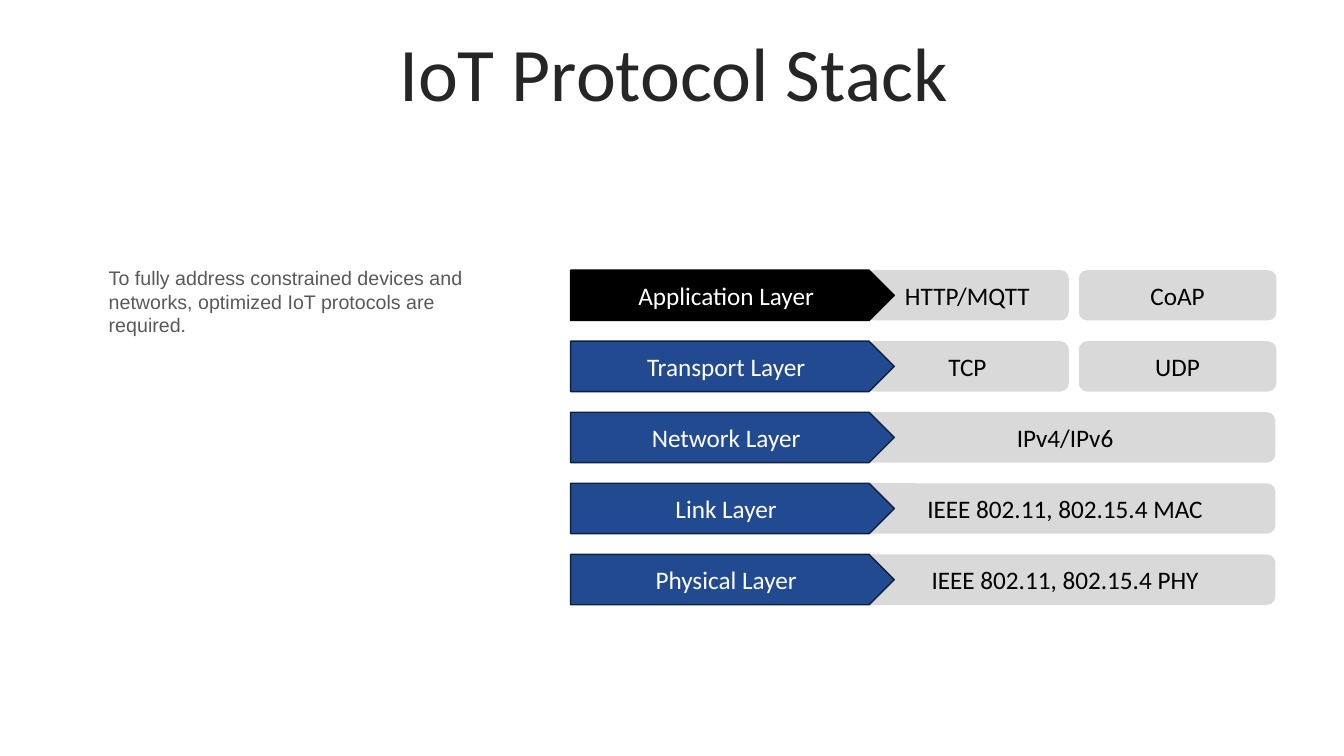
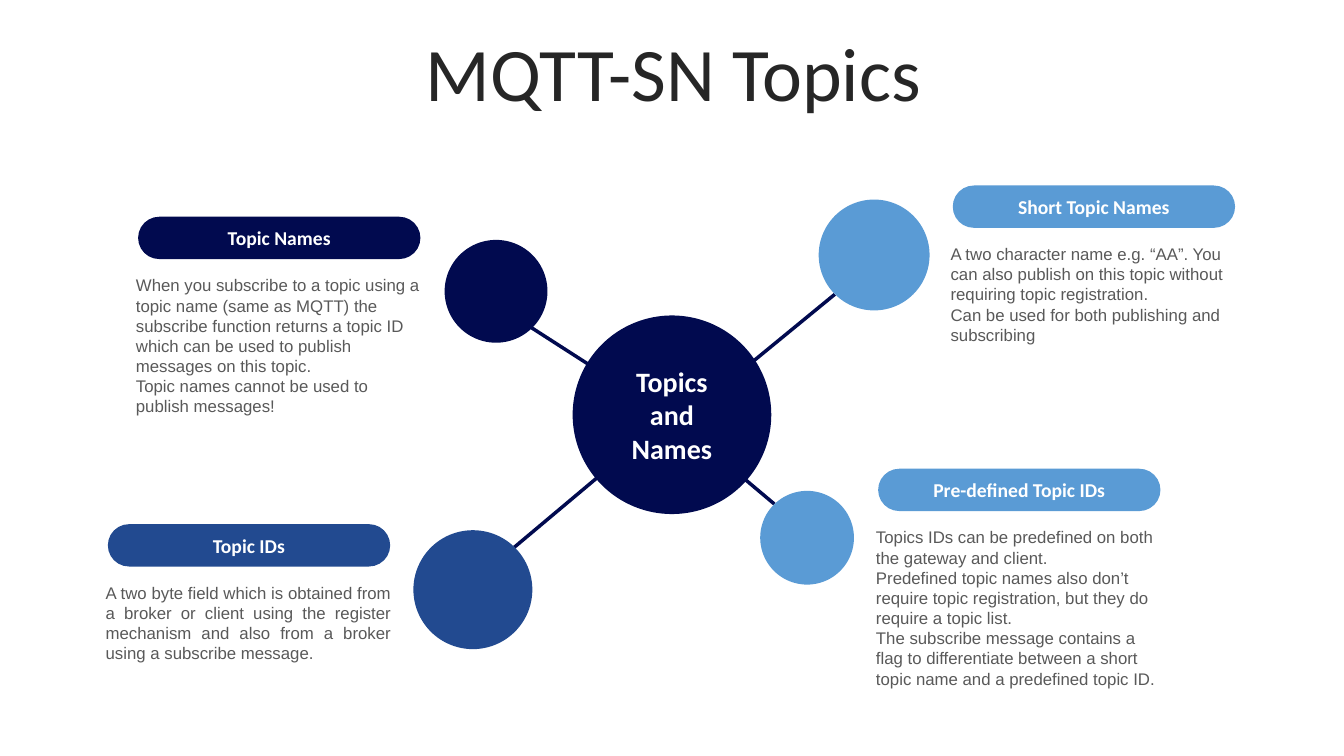
"""Build two slides: the IoT protocol stack and the MQTT-SN topic types."""
import pptx
import pptx.dml.color
import pptx.enum.shapes
import pptx.enum.text
import pptx.oxml
import pptx.util

Inches = pptx.util.Inches
Shape = pptx.enum.shapes.MSO_SHAPE
Align = pptx.enum.text.PP_ALIGN
Anchor = pptx.enum.text.MSO_ANCHOR

COLORS = {
    "title": "262626", "body": "595959", "white": "FFFFFF", "black": "000000",
    "gray": "D9D9D9", "navy": "010A4F", "blue": "224A90", "sky": "5A9BD5",
    "outline": "0F203F",
}


def write_text(shape, paragraphs, font, size, color, align, bold=False, anchor=Anchor.MIDDLE):
    """Fill a shape with equally formatted paragraphs."""
    frame = shape.text_frame
    frame.word_wrap = True
    frame.auto_size = pptx.enum.text.MSO_AUTO_SIZE.NONE
    frame.vertical_anchor = anchor
    frame.text = "\n".join(paragraphs)
    for paragraph in frame.paragraphs:
        paragraph.alignment = align
        paragraph.font.name = font
        paragraph.font.size = pptx.util.Pt(size)
        paragraph.font.bold = bold
        paragraph.font.color.rgb = pptx.dml.color.RGBColor.from_string(COLORS[color])


def add_filled_shape(slide, kind, left, top, width, height, fill, outline=None):
    """Add a flat shape with an optional one-point outline."""
    shape = slide.shapes.add_shape(kind, Inches(left), Inches(top), Inches(width), Inches(height))
    shape.shadow.inherit = False
    shape.fill.solid()
    shape.fill.fore_color.rgb = pptx.dml.color.RGBColor.from_string(COLORS[fill])
    if outline:
        shape.line.color.rgb = pptx.dml.color.RGBColor.from_string(COLORS[outline])
        shape.line.width = pptx.util.Pt(1)
    else:
        shape.line.fill.background()
    return shape


presentation = pptx.Presentation()
presentation.slide_width = Inches(13.33)
presentation.slide_height = Inches(7.5)

slides = []
for title_text in ("IoT Protocol Stack", "MQTT-SN Topics"):
    slide = presentation.slides.add_slide(presentation.slide_layouts[5])
    title = slide.shapes.title
    title.left, title.top = Inches(0.35), Inches(0.37)
    title.width, title.height = Inches(12.66), Inches(0.79)
    write_text(title, [title_text], "Calibri", 54, "title", Align.CENTER)
    title.text_frame.paragraphs[0].line_spacing = 0.9
    slides.append(slide)
stack_slide, topics_slide = slides

summary = stack_slide.shapes.add_textbox(Inches(0.98), Inches(2.59), Inches(4.25), Inches(0.81))
write_text(
    summary,
    ["To fully address constrained devices and networks, optimized IoT protocols are required."],
    "Arial", 14, "body", Align.LEFT, anchor=Anchor.TOP,
)

protocol_slots = {1: [(8.48, 4.17)], 2: [(8.59, 2.01), (10.7, 1.96)]}
layers = [
    ("Application Layer", ["HTTP/MQTT", "CoAP"], "black", "black"),
    ("Transport Layer", ["TCP", "UDP"], "blue", "outline"),
    ("Network Layer", ["IPv4/IPv6"], "blue", "outline"),
    ("Link Layer", ["IEEE 802.11, 802.15.4 MAC"], "blue", "outline"),
    ("Physical Layer", ["IEEE 802.11, 802.15.4 PHY"], "blue", "outline"),
]
row_pitch = (5.5 - 2.68) / (len(layers) - 1)
for row, (layer, protocols, fill, outline) in enumerate(layers):
    top = 2.68 + row * row_pitch
    for protocol, (left, width) in zip(protocols, protocol_slots[len(protocols)]):
        box = add_filled_shape(stack_slide, Shape.ROUNDED_RECTANGLE, left, top, width, 0.5, "gray")
        write_text(box, [protocol], "Calibri", 18, "black", Align.CENTER)
    arrow = add_filled_shape(stack_slide, Shape.PENTAGON, 5.66, top, 3.21, 0.5, fill, outline)
    write_text(arrow, [layer], "Calibri", 18, "white", Align.CENTER)

spokes = [
    (8.28, 2.92, 6.72, 4.2),
    (5.27, 3.25, 6.67, 4.15),
    (5.1, 5.43, 6.41, 4.33),
    (6.67, 4.15, 7.68, 5),
]
for spoke in spokes:
    connector = topics_slide.shapes.add_connector(
        pptx.enum.shapes.MSO_CONNECTOR.STRAIGHT, *(Inches(value) for value in spoke)
    )
    connector.line.color.rgb = pptx.dml.color.RGBColor.from_string(COLORS["navy"])
    connector.line.width = pptx.util.Pt(2.5)
    connector.element.spPr.append(pptx.oxml.parse_xml(
        '<a:effectLst xmlns:a="http://schemas.openxmlformats.org/drawingml/2006/main"/>'
    ))

hub = add_filled_shape(topics_slide, Shape.OVAL, 5.68, 3.13, 1.97, 1.97, "navy")
write_text(hub, ["Topics", "and", "Names"], "Calibri", 20, "white", Align.CENTER, bold=True)

topics = [
    ("Short Topic Names", "sky", (8.12, 1.98, 1.1), (9.45, 1.84), 1.11, Align.LEFT, [
        "A two character name e.g. “AA”. You can also publish on this topic without requiring "
        "topic registration.",
        "Can be used for both publishing and subscribing",
    ]),
    ("Topic Names", "navy", (4.41, 2.38, 1.02), (1.37, 2.15), 1.72, Align.LEFT, [
        "When you subscribe to a topic using a topic name (same as MQTT) the subscribe function "
        "returns a topic ID which can be used to publish messages on this topic.",
        "Topic names cannot be used to publish messages!",
    ]),
    ("Topic IDs", "blue", (4.1, 5.26, 1.18), (1.07, 5.2), 0.91, Align.JUSTIFY, [
        "A two byte field which is obtained from a broker or client using the register "
        "mechanism and also from a broker using a subscribe message.",
    ]),
    ("Pre-defined Topic IDs", "sky", (7.54, 4.87, 0.93), (8.71, 4.65), 1.72, Align.LEFT, [
        "Topics IDs can be predefined on both the gateway and client.",
        "Predefined topic names also don’t require topic registration, but they do require "
        "a topic list.",
        "The subscribe message contains a flag to differentiate between a short topic name "
        "and a predefined topic ID.",
    ]),
]
for name, color, (left, top, diameter), (pill_left, pill_top), height, align, details in topics:
    add_filled_shape(topics_slide, Shape.OVAL, left, top, diameter, diameter, color)
    pill = add_filled_shape(
        topics_slide, Shape.ROUNDED_RECTANGLE, pill_left, pill_top, 2.8, 0.42, color
    )
    pill.adjustments[0] = 0.5
    write_text(pill, [name], "Calibri", 14, "white", Align.CENTER, bold=True)
    description = topics_slide.shapes.add_textbox(
        Inches(pill_left - 0.12), Inches(pill_top + 0.53), Inches(3.03), Inches(height)
    )
    write_text(description, details, "Arial", 12, "body", align, anchor=Anchor.TOP)

presentation.save("out.pptx")
